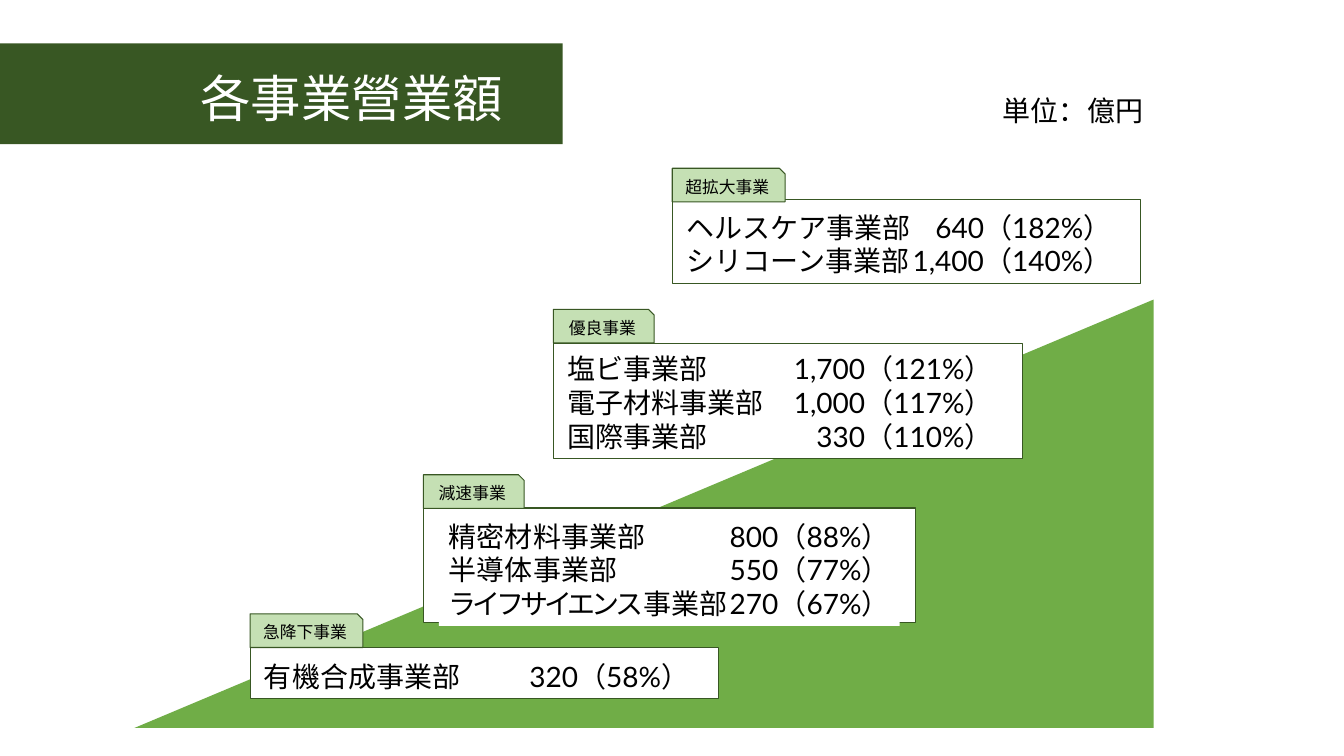
"""Build the slide of sales by business division, stepped up a slope."""
from lxml import etree
from pptx import Presentation
from pptx.dml.color import RGBColor
from pptx.enum.shapes import MSO_SHAPE
from pptx.enum.text import MSO_ANCHOR, MSO_AUTO_SIZE, PP_ALIGN
from pptx.oxml.ns import qn
from pptx.util import Pt

RECT, SNIP, TRIANGLE = MSO_SHAPE.RECTANGLE, MSO_SHAPE.SNIP_1_RECTANGLE, MSO_SHAPE.RIGHT_TRIANGLE
TOP, MIDDLE = MSO_ANCHOR.TOP, MSO_ANCHOR.MIDDLE
LEFT, CENTER, RIGHT = PP_ALIGN.LEFT, PP_ALIGN.CENTER, PP_ALIGN.RIGHT

COLORS = {"dark": "385723", "slope": "70AD47", "label": "C5E0B4", "white": "FFFFFF", "black": "000000"}
BODY, HEADING = "Lato", "Noto Sans CJK JP"

TITLE = "各事業營業額"
UNIT = "単位：億円"
GROUPS = [
    {"label": "減速事業", "box": (302.4, 362.9, 351.4, 82.1), "label_y": 339.1, "label_w": 72,
     "tab": 317.5, "drop": 2, "fill": "white", "squeeze": "ライフサイエンス",
     "rows": [("精密材料事業部", "800（88%）"), ("半導体事業部", "550（77%）"),
              ("ライフサイエンス事業部", "270（67%）")]},
    {"label": "急降下事業", "box": (178.6, 462.2, 334.8, 36.7), "label_y": 438.5, "label_w": 80.6,
     "rows": [("有機合成事業部", "320（58%）")]},
    {"label": "優良事業", "box": (395.3, 245.5, 334.8, 82.1), "label_y": 221, "label_w": 72,
     "rows": [("塩ビ事業部", "1,700（121%）"), ("電子材料事業部", "1,000（117%）"),
              ("国際事業部", "330（110%）")]},
    {"label": "超拡大事業", "box": (480.2, 142.6, 334.8, 59.8), "label_y": 120.2, "label_w": 80.6,
     "rows": [("ヘルスケア事業部", "640（182%）"), ("シリコーン事業部", "1,400（140%）")]},
]
TEXT_W, ROW_H, PAD, LABEL_H, TAB = 329, 24, 7.7, 24, 303.8


def rgb(name):
    return RGBColor.from_string(COLORS[name])


def add_box(kind, at, fill, line=None):
    sp = s.shapes.add_shape(kind, *map(Pt, at))
    sp.shadow.inherit = False
    sp.fill.solid()
    sp.fill.fore_color.rgb = rgb(fill)
    if line:
        sp.line.color.rgb = rgb(line)
        sp.line.width = Pt(0.75)
    else:
        sp.line.fill.background()
    return sp


def set_frame(tf, anchor=TOP, wrap=True):
    fmt = {"word_wrap": wrap, "auto_size": MSO_AUTO_SIZE.NONE, "vertical_anchor": anchor,
           "margin_left": Pt(7.2), "margin_right": Pt(7.2), "margin_top": Pt(3.6), "margin_bottom": Pt(3.6)}
    for key, value in fmt.items():
        setattr(tf, key, value)


def add_run(p, text, size, font=BODY, color="black", spacing=None):
    r = p.add_run()
    r.text = text
    for key, value in {"size": Pt(size), "name": font, "bold": False}.items():
        setattr(r.font, key, value)
    r.font.color.rgb = rgb(color)
    rPr = r.font._element
    etree.SubElement(rPr, qn("a:ea")).set("typeface", font)
    if spacing:
        rPr.set("spc", str(spacing * 100))


def add_right_tab(p, pos):
    tabs = etree.SubElement(p._p.get_or_add_pPr(), qn("a:tabLst"))
    etree.SubElement(tabs, qn("a:tab"), pos=str(int(Pt(pos))), algn="r")


def add_rows(group):
    x, y, w, h = group["box"]
    text_h = len(group["rows"]) * ROW_H + PAD
    top = y + h + group.get("drop", 0) - text_h
    at = (x + (w - TEXT_W) / 2, top, TEXT_W, text_h)
    if "fill" in group:
        sp = add_box(RECT, at, group["fill"])
    else:
        sp = s.shapes.add_textbox(*map(Pt, at))
    tf = sp.text_frame
    set_frame(tf)
    squeeze = group.get("squeeze")
    for i, (name, amount) in enumerate(group["rows"]):
        p = tf.add_paragraph() if i else tf.paragraphs[0]
        p.alignment = LEFT
        add_right_tab(p, group.get("tab", TAB))
        if squeeze and name.startswith(squeeze):
            add_run(p, squeeze, 20, spacing=-3)
            name = name[len(squeeze):]
        add_run(p, f"{name}\t{amount}", 20)


def add_group(group):
    x = group["box"][0]
    add_box(RECT, group["box"], "white", "dark")
    label = add_box(SNIP, (x, group["label_y"], group["label_w"], LABEL_H), "label", "dark")
    set_frame(label.text_frame, MIDDLE)
    p = label.text_frame.paragraphs[0]
    p.alignment = CENTER
    add_run(p, group["label"], 12)
    add_rows(group)


prs = Presentation()
prs.slide_width, prs.slide_height = Pt(960), Pt(540)
s = prs.slides.add_slide(prs.slide_layouts[5])

bar = add_box(RECT, (0, 31, 402, 72), "dark")
title = s.shapes.title
bar._element.addnext(title._element)
title.left, title.top, title.width, title.height = map(Pt, (136, 44, 266, 51))
set_frame(title.text_frame, MIDDLE)
p = title.text_frame.paragraphs[0]
p.alignment = LEFT
add_run(p, TITLE, 36, HEADING, "white")

unit = s.shapes.add_textbox(*map(Pt, (708.5, 63.4, 115.2, 31.7)))
set_frame(unit.text_frame, wrap=False)
p = unit.text_frame.paragraphs[0]
p.alignment = RIGHT
add_run(p, UNIT, 20)

slope = add_box(TRIANGLE, (96, 214, 728, 306), "slope")
slope._element.spPr.xfrm.set("flipH", "1")

for group in GROUPS:
    add_group(group)

prs.save("out.pptx")
